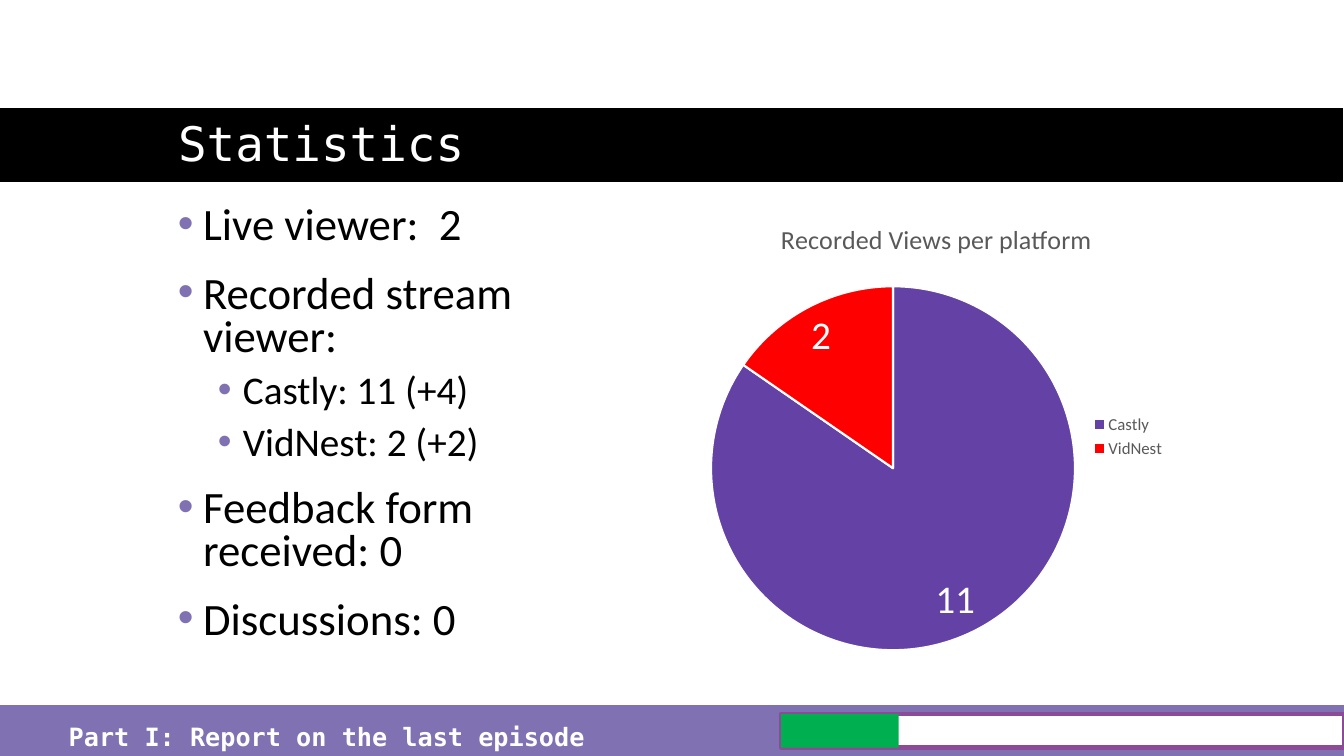
"""Build the statistics slide with its bullets, pie chart and progress bar."""
from dataclasses import dataclass
from typing import Any, Optional

from lxml import etree
from pptx import Presentation
from pptx.chart.data import CategoryChartData
from pptx.dml.color import RGBColor
from pptx.enum.chart import XL_CHART_TYPE, XL_LABEL_POSITION, XL_LEGEND_POSITION
from pptx.enum.shapes import MSO_SHAPE
from pptx.enum.text import MSO_ANCHOR, PP_ALIGN
from pptx.oxml.ns import qn
from pptx.util import Pt

EMU_PER_PX = 9525
RECTANGLE = MSO_SHAPE.RECTANGLE
PIE = XL_CHART_TYPE.PIE
INSIDE_END = XL_LABEL_POSITION.INSIDE_END
LEGEND_RIGHT = XL_LEGEND_POSITION.RIGHT
BOTTOM = MSO_ANCHOR.BOTTOM
LEFT = PP_ALIGN.LEFT

BLACK = RGBColor(0x00, 0x00, 0x00)
WHITE = RGBColor(0xFF, 0xFF, 0xFF)
LAVENDER = RGBColor(0x80, 0x71, 0xB2)
PLUM = RGBColor(0x8C, 0x4B, 0x97)
GREEN = RGBColor(0x00, 0xB0, 0x50)
GREY = RGBColor(0x59, 0x59, 0x59)
VIOLET = RGBColor(0x64, 0x41, 0xA5)
RED = RGBColor(0xFF, 0x00, 0x00)

SANS = "Calibri"
MONO = "DejaVu Sans Mono"
CHART_TITLE = "Recorded Views per platform"


@dataclass(frozen=True)
class Box:
    left: int
    top: int
    width: int
    height: int

    def emu(self) -> tuple[int, ...]:
        return tuple(px * EMU_PER_PX for px in (self.left, self.top, self.width, self.height))


@dataclass(frozen=True)
class Bar:
    box: Box
    fill: RGBColor
    line: Optional[RGBColor] = None
    weight: float = 0


@dataclass(frozen=True)
class Level:
    size: int
    indent: int
    space_before: int


@dataclass(frozen=True)
class Bullet:
    text: str
    level: int = 0


@dataclass(frozen=True)
class Platform:
    name: str
    views: int
    color: RGBColor


BARS = [
    Bar(Box(-32, 102, 1312, 72), BLACK, WHITE, 1.5),
    Bar(Box(0, 672, 1280, 48), LAVENDER, LAVENDER, 1),
    Bar(Box(744, 680, 536, 32), WHITE, PLUM, 3),
    Bar(Box(744, 680, 112, 32), GREEN),
]
TITLE_BOX = Box(160, 48, 960, 120)
BULLETS_BOX = Box(160, 192, 456, 448)
CHART_BOX = Box(664, 192, 456, 448)
SECTION_BOX = Box(56, 682, 520, 38)
HANGING = 24
LEVELS = [Level(32, 24, 18), Level(28, 62, 10)]
BULLETS = [
    Bullet("Live viewer:  2"),
    Bullet("Recorded stream viewer:"),
    Bullet("Castly: 11 (+4)", 1),
    Bullet("VidNest: 2 (+2)", 1),
    Bullet("Feedback form received: 0"),
    Bullet("Discussions: 0"),
]
PLATFORMS = [Platform("Castly", 11, VIOLET), Platform("VidNest", 2, RED)]


def apply_format(target: Any, values: dict[str, Any]) -> None:
    for name, value in values.items():
        setattr(target, name, value)


def style_font(font: Any, size: float, color: RGBColor, face: str = SANS, bold: bool = False) -> None:
    apply_format(font, {"name": face, "size": Pt(size), "bold": bold})
    font.color.rgb = color


def draw_bar(slide: Any, bar: Bar) -> None:
    shape = slide.shapes.add_shape(RECTANGLE, *bar.box.emu())
    shape.shadow.inherit = False
    shape.fill.solid()
    shape.fill.fore_color.rgb = bar.fill
    if bar.line is None:
        shape.line.fill.background()
    else:
        shape.line.color.rgb = bar.line
        shape.line.width = Pt(bar.weight)


def draw_title(slide: Any, text: str) -> None:
    title = slide.shapes.title
    left, top, width, height = TITLE_BOX.emu()
    apply_format(title, {"left": left, "top": top, "width": width, "height": height})
    title.element.getparent().append(title.element)
    title.text_frame.text = text
    apply_format(title.text_frame, {"vertical_anchor": BOTTOM, "word_wrap": True})
    paragraph = title.text_frame.paragraphs[0]
    apply_format(paragraph, {"alignment": LEFT, "line_spacing": 0.9})
    style_font(paragraph.runs[0].font, 34, WHITE, MONO)


def add_bullet_mark(paragraph: Any, level: Level) -> None:
    properties = paragraph._p.get_or_add_pPr()
    properties.set("marL", str(level.indent * EMU_PER_PX))
    properties.set("indent", str(-HANGING * EMU_PER_PX))
    color = etree.SubElement(properties, qn("a:buClr"))
    etree.SubElement(color, qn("a:srgbClr"), val=str(LAVENDER))
    etree.SubElement(properties, qn("a:buFont"), typeface="Arial")
    etree.SubElement(properties, qn("a:buChar"), char="•")


def draw_bullets(slide: Any) -> None:
    frame = slide.shapes.add_textbox(*BULLETS_BOX.emu()).text_frame
    frame.word_wrap = True
    for index, bullet in enumerate(BULLETS):
        paragraph = frame.add_paragraph() if index else frame.paragraphs[0]
        level = LEVELS[bullet.level]
        apply_format(paragraph, {
            "text": bullet.text,
            "level": bullet.level,
            "line_spacing": 0.8,
            "space_before": Pt(level.space_before),
        })
        add_bullet_mark(paragraph, level)
        style_font(paragraph.runs[0].font, level.size, BLACK)


def draw_section(slide: Any, text: str) -> None:
    frame = slide.shapes.add_textbox(*SECTION_BOX.emu()).text_frame
    frame.word_wrap = True
    frame.text = text
    style_font(frame.paragraphs[0].runs[0].font, 18, WHITE, MONO, True)


def draw_chart(slide: Any) -> None:
    views = CategoryChartData()
    views.categories = [platform.name for platform in PLATFORMS]
    views.add_series(CHART_TITLE, [platform.views for platform in PLATFORMS])
    chart = slide.shapes.add_chart(PIE, *CHART_BOX.emu(), views).chart
    style_font(chart.font, 10, BLACK)
    apply_format(chart, {"has_title": True, "has_legend": True})
    chart.chart_title.text_frame.text = CHART_TITLE
    style_font(chart.chart_title.text_frame.paragraphs[0].runs[0].font, 18.6, GREY)
    apply_format(chart.legend, {"position": LEGEND_RIGHT, "include_in_layout": False})
    style_font(chart.legend.font, 12, GREY)
    plot = chart.plots[0]
    apply_format(plot, {"vary_by_categories": True, "has_data_labels": True})
    apply_format(plot.data_labels, {"show_value": True, "show_percentage": False, "position": INSIDE_END})
    style_font(plot.data_labels.font, 28, WHITE)
    for index, platform in enumerate(PLATFORMS):
        slice_format = plot.series[0].points[index].format
        slice_format.fill.solid()
        slice_format.fill.fore_color.rgb = platform.color
        slice_format.line.color.rgb = WHITE
        slice_format.line.width = Pt(1.5)


def main() -> None:
    presentation = Presentation()
    size = {"slide_width": 1280 * EMU_PER_PX, "slide_height": 720 * EMU_PER_PX}
    apply_format(presentation, size)
    slide = presentation.slides.add_slide(presentation.slide_layouts.get_by_name("Title Only"))
    for bar in BARS:
        draw_bar(slide, bar)
    draw_title(slide, "Statistics")
    draw_bullets(slide)
    draw_chart(slide)
    draw_section(slide, "Part I: Report on the last episode")
    presentation.save("out.pptx")


if __name__ == "__main__":
    main()
